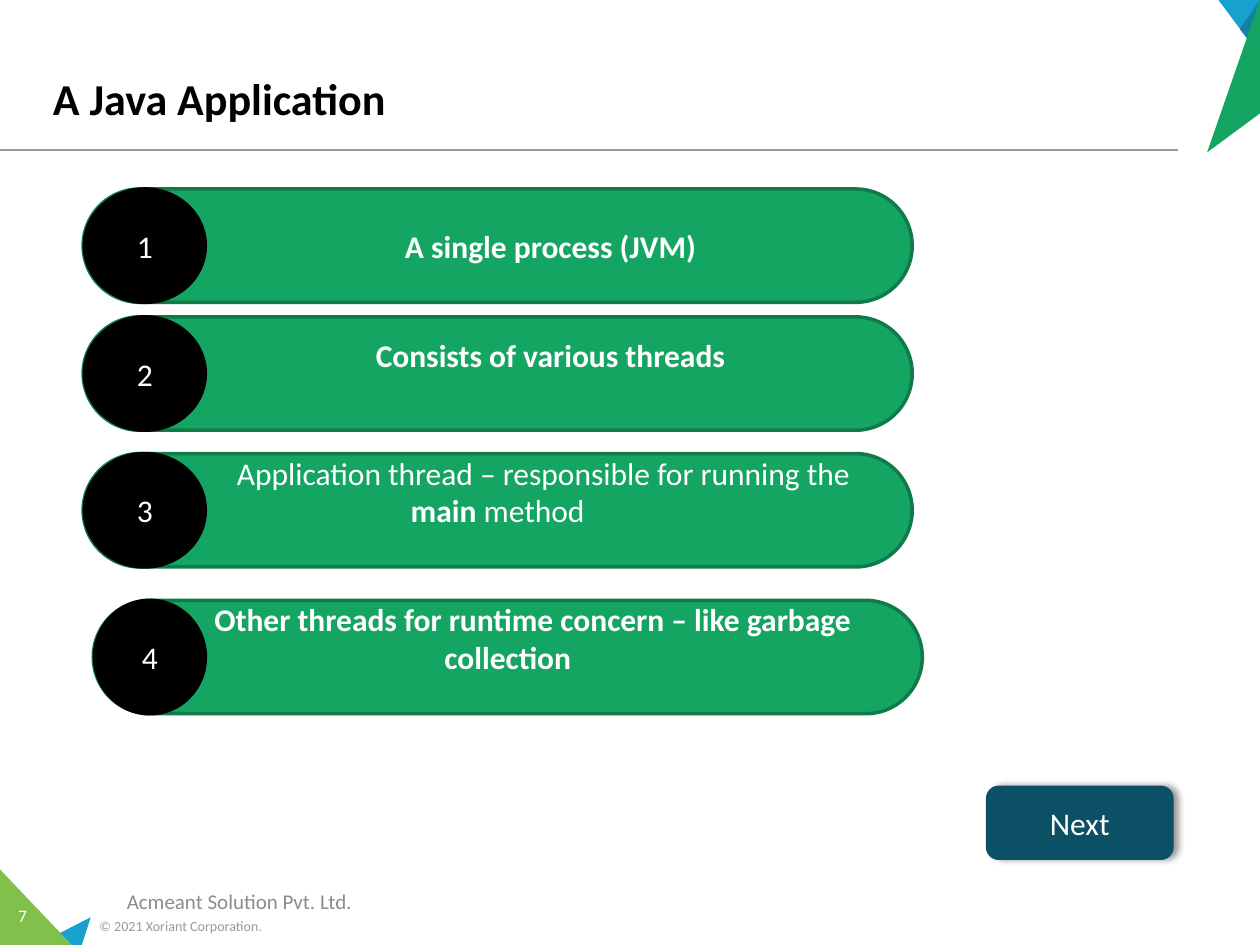
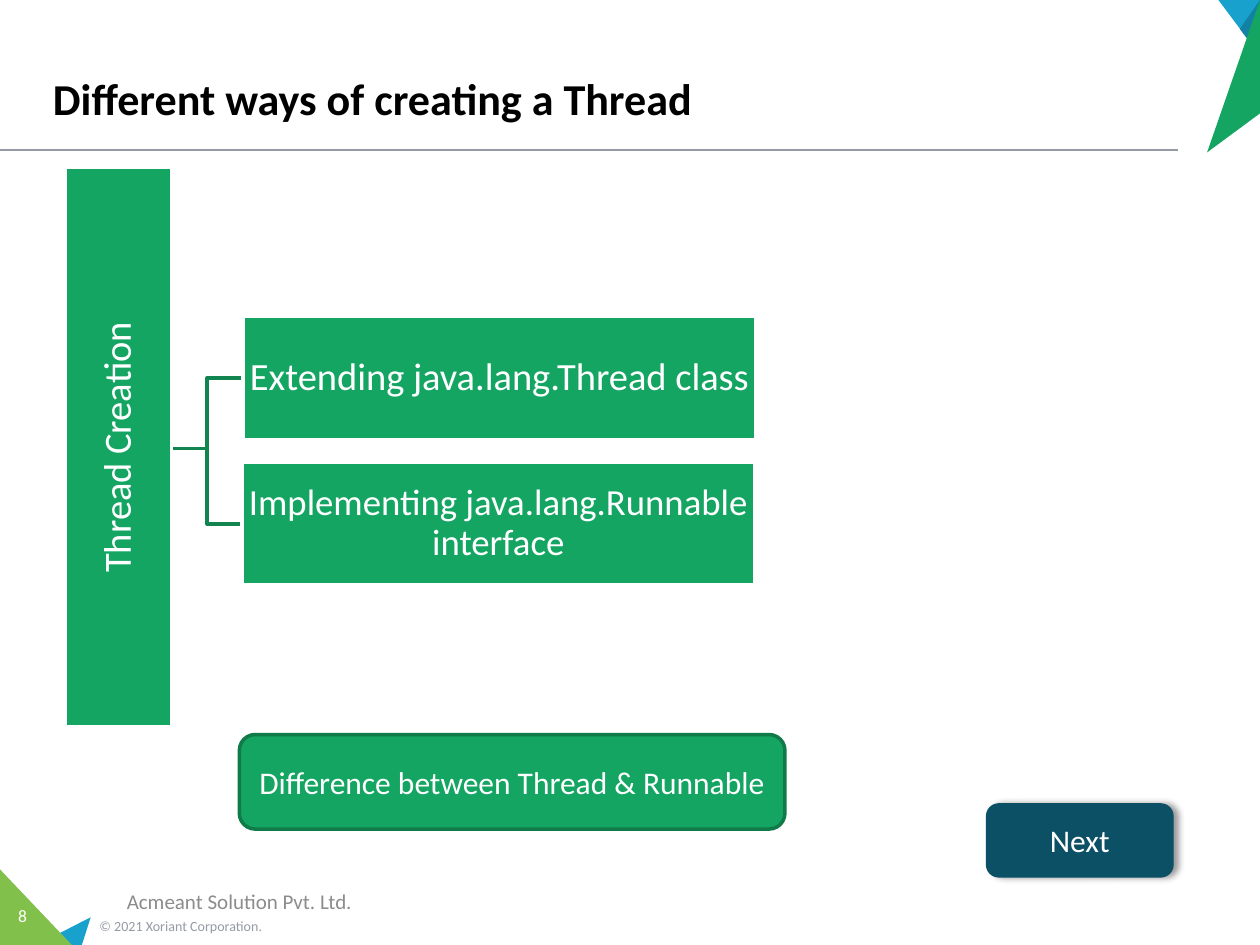
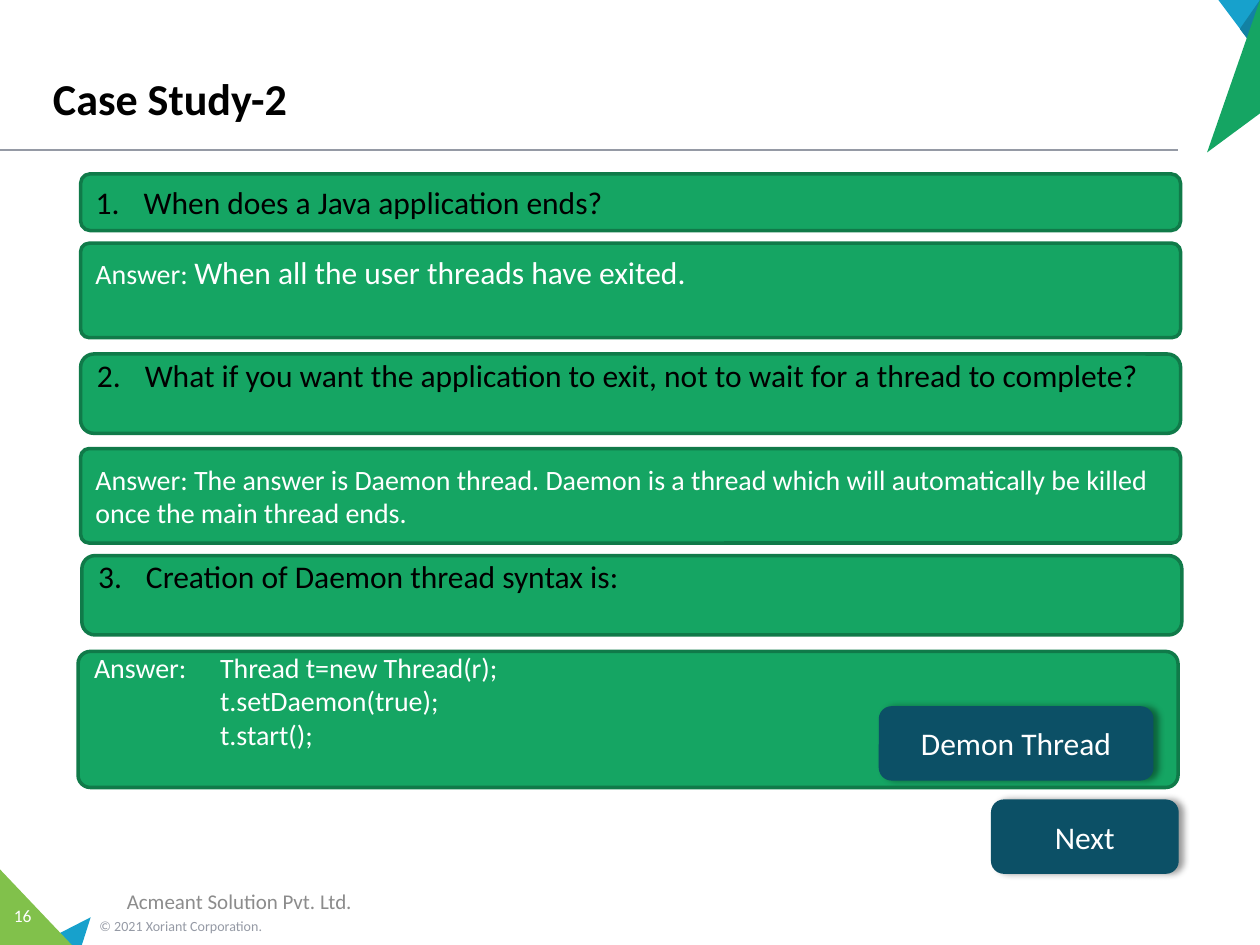
import dataclasses

import lxml.etree
import pptx
import pptx.dml.color
import pptx.enum.shapes
import pptx.enum.text
import pptx.oxml.ns
import pptx.util

SHAPE = pptx.enum.shapes.MSO_SHAPE
ALIGN = pptx.enum.text.PP_ALIGN
ANCHOR = pptx.enum.text.MSO_ANCHOR
FONT = "Calibri"

GREEN, GREEN_EDGE, GREEN_LINK = "15A563", "107A49", "11844F"
LIME, BLUE, BLUE_DARK, TEAL = "81C14B", "17A1CC", "1281A3", "0C5066"
GREY, FOOTER_GREY, BLACK, WHITE = "959AA5", "8C8C8C", "000000", "FFFFFF"

# The slide is a grid of 100 columns by 75 rows; one step is a tenth of an inch.
STEP = pptx.util.Inches(0.1)
COLUMNS, ROWS = 100, 75
INSETS = (1, 0.5, 1, 0.5)
RAISED = (1, 0.5, 1, 3.5)  # lifts the text by half a line


@dataclasses.dataclass
class Run:
    text: str
    size: float = 18
    color: str = WHITE
    bold: bool = False


@dataclasses.dataclass
class Para:
    """A paragraph; number is its place in a list, tab a tab stop."""
    runs: list
    align: object = ALIGN.LEFT
    margin: float = 0
    indent: float = 0
    number: int = 0
    tab: float = 0


def grid(n):
    return pptx.util.Emu(round(n * STEP))


def rgb(hex_color):
    return pptx.dml.color.RGBColor.from_string(hex_color)


def sub(parent, tag, **attributes):
    child = lxml.etree.SubElement(parent, pptx.oxml.ns.qn(tag))
    for name, value in attributes.items():
        child.set(name, str(value))
    return child


def centred(text, size=18, color=WHITE, bold=False, indent=0):
    return Para([Run(text, size, color, bold)], ALIGN.CENTER, indent=indent)


def put_text(s, paras, anchor=ANCHOR.MIDDLE, insets=INSETS, spacing=None):
    tf = s.text_frame
    tf.word_wrap = True
    tf.auto_size = pptx.enum.text.MSO_AUTO_SIZE.NONE
    tf.vertical_anchor = anchor
    tf.margin_left, tf.margin_top, tf.margin_right, tf.margin_bottom = map(grid, insets)
    for i, para in enumerate(paras):
        p = tf.add_paragraph() if i else tf.paragraphs[0]
        p.alignment = para.align
        if spacing:
            p.line_spacing = spacing
        pPr = p._p.get_or_add_pPr()
        pPr.set("marL", str(grid(para.margin)))
        pPr.set("indent", str(grid(para.indent)))
        if para.number:
            sub(pPr, "a:buAutoNum", type="arabicPeriod", startAt=para.number)
        if para.tab:
            sub(sub(pPr, "a:tabLst"), "a:tab", pos=grid(para.tab), algn="l")
        for run in para.runs:
            r = p.add_run()
            r.text = run.text
            r.font.name = FONT
            r.font.size = pptx.util.Pt(run.size)
            r.font.bold = run.bold
            r.font.color.rgb = rgb(run.color)


def paint(s, fill=None, line=None, width=2):
    s.shadow.inherit = False
    if fill:
        s.fill.solid()
        s.fill.fore_color.rgb = rgb(fill)
    else:
        s.fill.background()
    if line:
        s.line.color.rgb = rgb(line)
        s.line.width = pptx.util.Pt(width)
    else:
        s.line.fill.background()


def add_block(slide, kind, at, paras, fill=GREEN, line=GREEN_EDGE, width=2,
              corner=None, **text_options):
    s = slide.shapes.add_shape(kind, *map(grid, at))
    if corner is not None:
        s.adjustments[0] = corner
    paint(s, fill, line, width)
    put_text(s, paras, **text_options)
    return s


def add_label(slide, at, para, insets=INSETS):
    put_text(slide.shapes.add_textbox(*map(grid, at)), [para], insets=insets)


def add_outline(slide, points, fill=None, line=None):
    """A filled polygon, or an open polyline when there is no fill."""
    (x, y), *rest = [(grid(x), grid(y)) for x, y in points]
    builder = slide.shapes.build_freeform(x, y)
    builder.add_line_segments(rest, close=fill is not None)
    paint(builder.convert_to_shape(), fill, line)


def add_button(slide, text, left, top, width=14.8):
    s = add_block(slide, SHAPE.ROUNDED_RECTANGLE, (left, top, width, 5.8),
                  [centred(text)], TEAL, TEAL, 0.75)
    effects = s._element.spPr.find(pptx.oxml.ns.qn("a:effectLst"))
    shadow = sub(effects, "a:outerShdw", blurRad=pptx.util.Pt(4),
                 dist=pptx.util.Pt(3), dir=0, algn="l", rotWithShape=0)
    sub(sub(shadow, "a:srgbClr", val=BLACK), "a:alpha", val=40000)


def add_title_rule(slide):
    s = slide.shapes.add_connector(pptx.enum.shapes.MSO_CONNECTOR.STRAIGHT,
                                   *map(grid, (0, 11.9, 93.5, 11.9)))
    s.line.color.rgb = rgb(GREY)
    s.line.width = pptx.util.Pt(1)
    sub(s._element.spPr, "a:effectLst")


def add_slide(prs, title, number):
    """A slide with its title, rule, corner ornaments and footer."""
    slide = prs.slides.add_slide(prs.slide_layouts[5])
    s = slide.shapes.title
    s.left, s.top, s.width, s.height = map(grid, (3.2, 0.8, 90, 9.6))
    put_text(s, [Para([Run(title, 25.2, BLACK, True)])], ANCHOR.BOTTOM)
    add_title_rule(slide)
    add_outline(slide, [(7.2, 72.8), (6.5, ROWS), (2.9, ROWS)], BLUE)
    add_outline(slide, [(0, 69), (5.7, ROWS), (0, ROWS)], LIME)
    add_outline(slide, [(96.7, 0), (COLUMNS, 0), (COLUMNS, 4.4)], BLUE)
    add_outline(slide, [(98.4, 2.3), (COLUMNS, 0), (COLUMNS, 4.4)], BLUE_DARK)
    add_outline(slide, [(95.8, 12.1), (COLUMNS, 0), (COLUMNS, 9)], GREEN)
    add_label(slide, (6.9, 72.3, 23.3, 2.4),
              Para([Run("© 2021 Xoriant Corporation.", 8, GREY)]))
    add_label(slide, (0, 71.5, 3.6, 2.4), centred(number, 10), (0, 0.5, 0, 0.5))
    add_label(slide, (0, 69.5, 38, 4),
              centred("Acmeant Solution Pvt. Ltd.", 12, FOOTER_GREY))
    return slide


def add_numbered_pill(slide, number, left, top, badge_width, para, insets):
    add_block(slide, SHAPE.ROUNDED_RECTANGLE, (left, top, 65.8, 9), [para],
              corner=0.5, insets=insets)
    add_block(slide, SHAPE.OVAL, (left + 0.1, top, badge_width, 9),
              [centred(str(number))], BLACK, BLACK)


def application_slide(prs):
    slide = add_slide(prs, "A Java Application", "7")
    main_thread = Para([
        Run("Application thread – responsible for running the "),
        Run("main", bold=True), Run(" method")], ALIGN.CENTER, indent=7.3)
    other_threads = centred(
        "Other threads for runtime concern – like garbage collection",
        bold=True, indent=4)
    pills = [
        (6.6, 15, 9.6, centred("A single process (JVM)", bold=True, indent=8.4), INSETS),
        (6.6, 25.15, 9.6,
         centred("Consists of various threads", bold=True, indent=8.4), RAISED),
        (6.6, 36, 9.6, main_thread, RAISED),
        (7.4, 47.65, 8.8, other_threads, RAISED),
    ]
    for number, pill in enumerate(pills, 1):
        add_numbered_pill(slide, number, *pill)
    add_button(slide, "Next", 78.3, 62.4)


def creation_slide(prs):
    slide = add_slide(prs, "Different ways of creating a Thread", "8")
    root_x, bend_x, branch_x, root_y = 13.6, 16.45, 19.25, 35.6
    for branch_y in (41.6, 30):
        add_outline(slide, [(root_x, root_y), (bend_x, root_y),
                            (bend_x, branch_y), (branch_x, branch_y)],
                    line=GREEN_LINK)
    nodes = [
        ("Thread Creation", 22, (-12.8, 31.3, 44.4, 8.4), 270),
        ("Extending java.lang.Thread class", 22, (19.3, 25.1, 40.7, 9.8), 0),
        ("Implementing java.lang.Runnable interface", 21, (19.2, 36.7, 40.7, 9.7), 0),
    ]
    for text, size, at, rotation in nodes:
        s = add_block(slide, SHAPE.RECTANGLE, at, [centred(text, size)],
                      line=WHITE, insets=(0.1,) * 4, spacing=0.9)
        s.rotation = rotation
    add_button(slide, "Next", 78.3, 63.8)
    add_block(slide, SHAPE.ROUNDED_RECTANGLE, (19, 58.3, 43.3, 7.5),
              [centred("Difference between Thread & Runnable")])


def question(number, text):
    return [Para([Run(text, color=BLACK)], margin=3.8, indent=-3.8, number=number)]


def case_study_slide(prs):
    slide = add_slide(prs, "Case Study-2", "16")
    exited = [Para([Run("Answer: ", 16),
                    Run("When all the user threads have exited.")])]
    daemon = [Para([Run("Answer: The answer is Daemon thread. Daemon is a thread "
                        "which will automatically be killed once the main thread "
                        "ends.", 16)])]
    syntax = [Para([Run("Answer:\tThread t=new Thread(r);", 16)], tab=8.3),
              Para([Run("t.setDaemon(true);", 16)], margin=10),
              Para([Run("t.start();", 16)], margin=10)]
    wait = "What if you want the application to exit, not to wait for a thread to complete?"
    boxes = [
        (6.4, 13.8, 4.5, question(1, "When does a Java application ends?"), None, INSETS),
        (6.4, 19.3, 7.5, exited, 0.09, RAISED),
        (6.4, 28.1, 6.3, question(2, wait), None, RAISED),
        (6.4, 35.6, 7.5, daemon, 0.09, INSETS),
        (6.5, 44.1, 6.3, question(3, "Creation of Daemon thread syntax is:"), None, RAISED),
        (6.2, 51.7, 10.8, syntax, 0.09, RAISED),
    ]
    for left, top, height, paras, corner, insets in boxes:
        add_block(slide, SHAPE.ROUNDED_RECTANGLE, (left, top, 87.3, height),
                  paras, corner=corner, insets=insets)
    add_button(slide, "Next", 78.7, 63.5)
    add_button(slide, "Demon Thread", 69.8, 56.1, 21.7)


def main():
    prs = pptx.Presentation()
    prs.slide_width, prs.slide_height = grid(COLUMNS), grid(ROWS)
    application_slide(prs)
    creation_slide(prs)
    case_study_slide(prs)
    prs.save("out.pptx")


if __name__ == "__main__":
    main()
